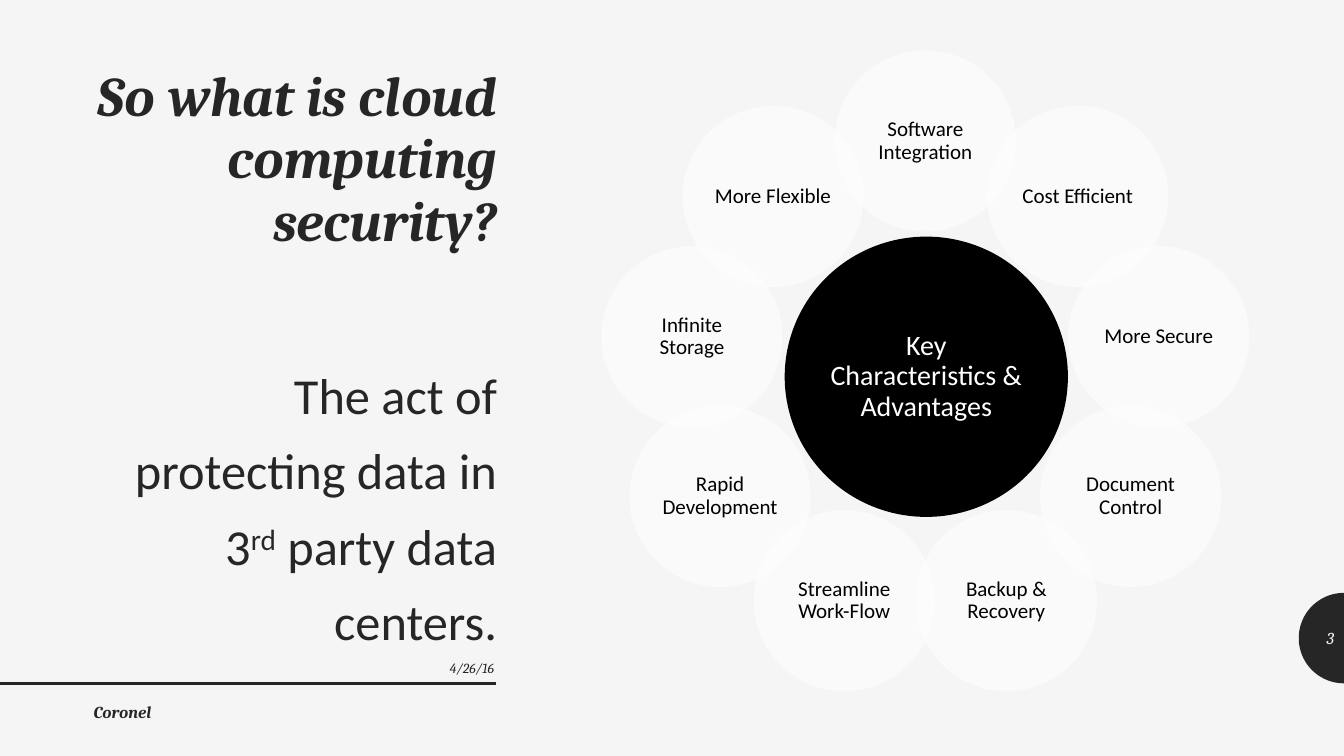
import math
from dataclasses import dataclass

from lxml import etree
from pptx import Presentation
from pptx import util as u
from pptx.dml.color import RGBColor
from pptx.enum import shapes, text
from pptx.oxml.ns import qn


@dataclass(frozen=True)
class Theme:
    paper: str = "F5F5F5"
    ink: str = "262626"
    black: str = "000000"
    white: str = "FFFFFF"
    heading: str = "Cambria"
    body: str = "Calibri"
    title_size: float = 40
    body_size: float = 36
    hub_size: float = 20
    petal_size: float = 15
    footer_size: float = 12
    date_size: float = 10


@dataclass(frozen=True)
class Box:
    left: float
    top: float
    width: float
    height: float

    def lengths(self) -> list:
        return [u.Pt(n) for n in (self.left, self.top, self.width, self.height)]


@dataclass(frozen=True)
class Disc:
    label: str
    box: Box
    fill: str
    color: str
    size: float
    inset: float
    opacity: int = 100


THEME = Theme()
WIDTH, HEIGHT = 960, 540
RIGHT, LEFT, CENTER = text.PP_ALIGN.RIGHT, text.PP_ALIGN.LEFT, text.PP_ALIGN.CENTER
TOP, MIDDLE = text.MSO_ANCHOR.TOP, text.MSO_ANCHOR.MIDDLE

# Ring of characteristics, clockwise from the top
RING_X, RING_Y, RING_RADIUS, PETAL = 661, 270, 169.3, 129.6
CHARACTERISTICS = [
    "Software Integration", "Cost Efficient", "More Secure",
    "Document Control", "Backup & Recovery", "Streamline Work-Flow",
    "Rapid Development", "Infinite Storage", "More Flexible",
]


def paint(shape, color: str) -> None:
    shape.fill.solid()
    shape.fill.fore_color.rgb = RGBColor.from_string(color)
    shape.line.fill.background()
    shape.shadow.inherit = False


def write(frame, *parts: str, size: float, color: str, font: str = THEME.body,
          align=RIGHT, anchor=TOP, spacing: float = 1, bold: bool = False,
          italic: bool = False, raised: str = "", inset=None) -> None:
    """Write parts as one paragraph; the part equal to raised is superscript."""
    frame.word_wrap = True
    frame.vertical_anchor = anchor
    if inset is not None:
        frame.margin_left = frame.margin_right = u.Pt(inset)
        frame.margin_top = frame.margin_bottom = u.Pt(inset)
    para = frame.paragraphs[0]
    para.alignment = align
    para.line_spacing = spacing
    for part in parts:
        span = para.add_run()
        span.text = part
        span.font.name = font
        span.font.size = u.Pt(size)
        span.font.bold = bold
        span.font.italic = italic
        span.font.color.rgb = RGBColor.from_string(color)
        if part == raised:
            span._r.get_or_add_rPr().set("baseline", "30000")


def add_text(page, box: Box, *parts: str, **style) -> None:
    write(page.shapes.add_textbox(*box.lengths()).text_frame, *parts, **style)


def add_disc(page, disc: Disc) -> None:
    shape = page.shapes.add_shape(shapes.MSO_SHAPE.OVAL, *disc.box.lengths())
    paint(shape, disc.fill)
    if disc.opacity < 100:
        color = shape._element.spPr.find(qn("a:solidFill"))[0]
        etree.SubElement(color, qn("a:alpha")).set("val", str(disc.opacity * 1000))
    write(shape.text_frame, disc.label, size=disc.size, color=disc.color,
          align=CENTER, anchor=MIDDLE, spacing=0.9, inset=disc.inset)


def add_number_tab(page, center_y: float, radius: float, steps: int = 48) -> None:
    """Draw a half disc against the right edge of the slide."""
    angles = [math.pi * step / steps for step in range(steps + 1)]
    outline = [(u.Pt(WIDTH - radius * math.sin(a)), u.Pt(center_y - radius * math.cos(a)))
               for a in angles]
    builder = page.shapes.build_freeform(*outline[0])
    builder.add_line_segments(outline[1:], close=True)
    paint(builder.convert_to_shape(), THEME.ink)


def add_rule(page, y: float, length: float) -> None:
    rule = page.shapes.add_connector(shapes.MSO_CONNECTOR.STRAIGHT,
                                     0, u.Pt(y), u.Pt(length), u.Pt(y))
    rule.line.color.rgb = RGBColor.from_string(THEME.ink)
    rule.line.width = u.Pt(2)
    etree.SubElement(rule._element.spPr, qn("a:effectLst"))


def petal(index: int, label: str) -> Disc:
    angle = math.tau * index / len(CHARACTERISTICS)
    left = RING_X + RING_RADIUS * math.sin(angle) - PETAL / 2
    top = RING_Y - RING_RADIUS * math.cos(angle) - PETAL / 2
    return Disc(label, Box(round(left, 2), round(top, 2), PETAL, PETAL),
                THEME.white, THEME.black, THEME.petal_size, 1.5, opacity=50)


def main() -> None:
    deck = Presentation()
    deck.slide_width, deck.slide_height = u.Pt(WIDTH), u.Pt(HEIGHT)
    page = deck.slides.add_slide(deck.slide_layouts[6])
    page.background.fill.solid()
    page.background.fill.fore_color.rgb = RGBColor.from_string(THEME.paper)

    # Page furniture
    add_number_tab(page, center_y=455.8, radius=32.3)
    add_rule(page, y=488.2, length=354.3)

    # Title and definition
    add_text(page, Box(59.8, 43.9, 302.4, 151.2), "So what is cloud computing security?",
             size=THEME.title_size, color=THEME.ink, font=THEME.heading,
             spacing=0.93, bold=True, italic=True)
    add_text(page, Box(59.8, 245.5, 302.4, 215.3),
             "The act of protecting data in 3", "rd", " party data centers.",
             size=THEME.body_size, color=THEME.ink, spacing=1.25, raised="rd")

    # Date, footer and slide number
    add_text(page, Box(59.8, 467.3, 300.2, 28.8), "4/26/16", size=THEME.date_size,
             color=THEME.ink, font=THEME.heading, italic=True)
    add_text(page, Box(59.8, 497.5, 300.2, 28.8), "Coronel", size=THEME.footer_size,
             color=THEME.ink, font=THEME.heading, align=LEFT, bold=True, italic=True)
    add_text(page, Box(927.8, 441.4, 32.2, 28.8), "3", size=THEME.footer_size,
             color=THEME.paper, font=THEME.heading, anchor=MIDDLE, italic=True)

    # Hub with its ring of characteristics
    add_disc(page, Disc("Key Characteristics & Advantages", Box(560.5, 169, 202.3, 200.2),
                        THEME.black, THEME.white, THEME.hub_size, 2))
    for index, label in enumerate(CHARACTERISTICS):
        add_disc(page, petal(index, label))

    deck.save("out.pptx")


if __name__ == "__main__":
    main()
